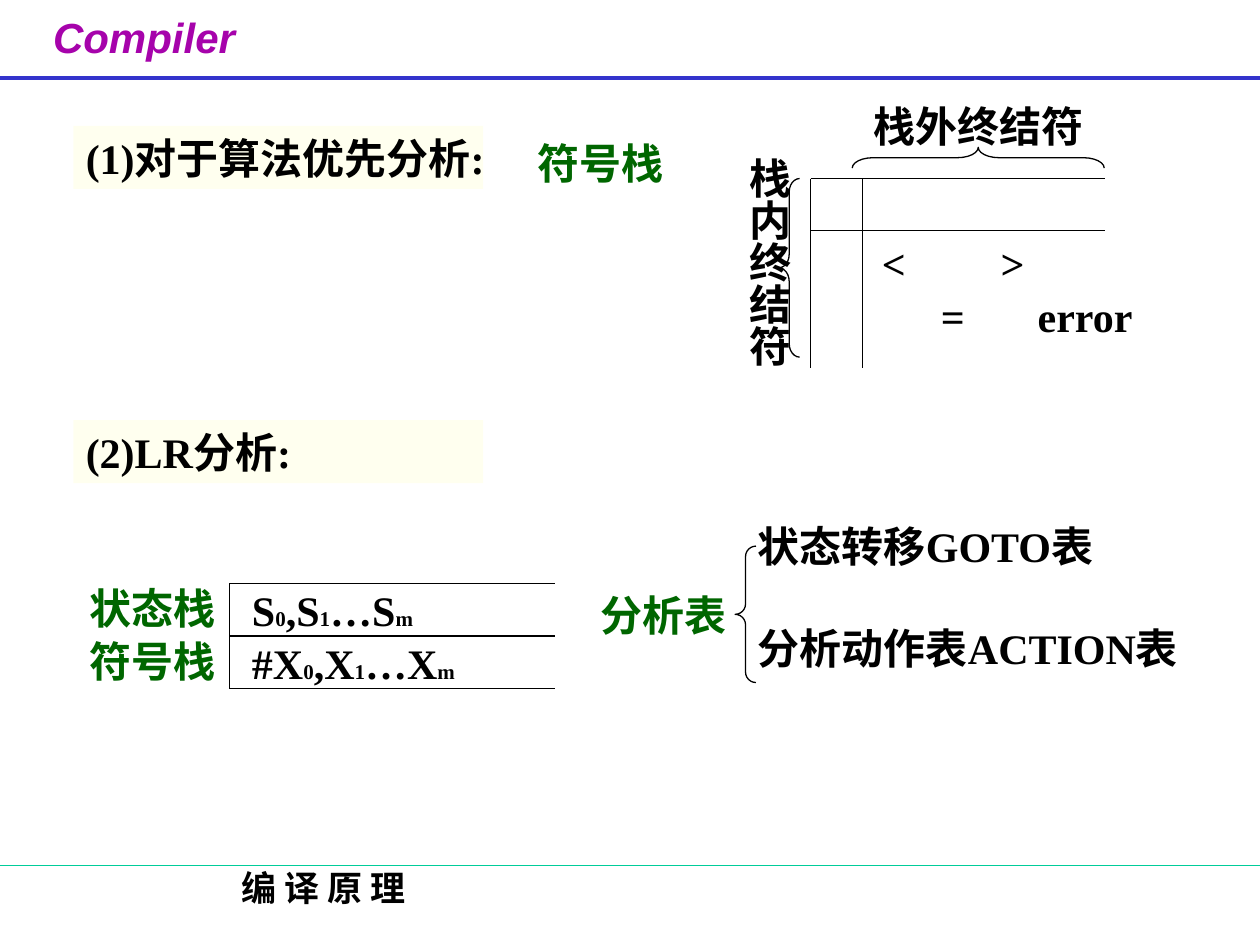
from dataclasses import dataclass
from lxml.etree import SubElement
from pptx import Presentation
from pptx.dml.color import RGBColor
from pptx.enum.shapes import MSO_CONNECTOR as Link, MSO_SHAPE as Preset
from pptx.enum.text import MSO_ANCHOR as Anchor, PP_ALIGN as Align
from pptx.oxml.ns import qn
from pptx.slide import Slide
from pptx.util import Cm, Pt


def color(value):
    return RGBColor.from_string(value)


@dataclass
class Board:
    """Draws styled text, lines and braces on one page."""
    page: Slide
    font: str = "Times New Roman"
    ink: str = "000000"
    green: str = "006600"
    size: int = 24
    small: int = 12

    def fill_text(self, box, text, ink=None, size=None, font=None, italic=None,
                  align=Align.LEFT, anchor=Anchor.MIDDLE, wrap=False, tab=None):
        frame = box.text_frame
        frame.word_wrap, frame.vertical_anchor = wrap, anchor
        para = frame.paragraphs[0]
        para.alignment = align
        if tab:
            stops = SubElement(para._p.get_or_add_pPr(), qn("a:tabLst"))
            SubElement(stops, qn("a:tab"), pos=str(Cm(tab)), algn="l")
        style = para.font
        style.name, style.size = font or self.font, Pt(size or self.size)
        style.bold, style.italic = True, italic
        style.color.rgb = color(ink or self.ink)
        for index, part in enumerate(text.split("|")):
            span = para.add_run()
            span.text = part
            if index % 2:
                span.font.size = Pt(self.small)

    def text(self, text, x, y, width, height, **style):
        box = self.page.shapes.add_textbox(Cm(x), Cm(y), Cm(width), Cm(height))
        self.fill_text(box, text, **style)
        return box

    def vertical_text(self, text, x, y, width, height):
        box = self.text(text, x, y, width, height, align=Align.CENTER,
                        anchor=Anchor.TOP, wrap=True)
        frame = box.text_frame
        frame.margin_left = frame.margin_right = Cm(0.13)
        frame.margin_top = frame.margin_bottom = Cm(0.25)
        frame._txBody.bodyPr.set("vert", "eaVert")

    def heading(self, text, x, y, width, height):
        box = self.page.shapes.add_shape(
            Preset.RECTANGLE, Cm(x), Cm(y), Cm(width), Cm(height))
        box.shadow.inherit = False
        box.line.fill.background()
        box.fill.solid()
        box.fill.fore_color.rgb = color("FFFFE1")
        tint = box._element.spPr.find(".//" + qn("a:srgbClr"))
        SubElement(tint, qn("a:alpha"), val="50000")
        self.fill_text(box, text)

    def line(self, x1, y1, x2, y2, ink=None, width=0.75):
        line = self.page.shapes.add_connector(
            Link.STRAIGHT, Cm(x1), Cm(y1), Cm(x2), Cm(y2))
        line.line.color.rgb = color(ink or self.ink)
        line.line.width = Pt(width)
        SubElement(line._element.spPr, qn("a:effectLst"))

    def brace(self, x, y, height, curve, rotation=0):
        brace = self.page.shapes.add_shape(
            Preset.LEFT_BRACE, Cm(x), Cm(y), Cm(0.42), Cm(height))
        brace.shadow.inherit = False
        brace.fill.background()
        brace.line.color.rgb = color(self.ink)
        brace.line.width = Pt(0.75)
        brace.adjustments[0] = curve
        brace.rotation = rotation


def draw_frame(board):
    board.text("Compiler", 0.82, 0.1, 4.85, 1.57, ink="A603AB", font="Arial",
               italic=True, anchor=Anchor.TOP)
    board.line(0, 1.57, 25.4, 1.57, "3333CC", 2.25)
    board.text("编 译 原 理", 1.27, 17.35, 10.52, 1.27, size=20,
               align=Align.CENTER, anchor=Anchor.TOP, wrap=True)
    board.line(0, 17.45, 25.4, 17.45, "00CC99")


def draw_precedence(board):
    board.heading("(1)对于算法优先分析:", 1.48, 2.54, 8.26, 1.27)
    board.text("符号栈", 10.59, 2.75, 3.18, 1.06, ink=board.green)
    board.brace(15.7, 3.6, 3.6, 0.65)
    board.vertical_text("栈内终结符", 14.62, 2.92, 1.53, 5.08)
    left, top, step = 16.34, 3.6, 1.05
    for offset in (0, step):
        board.line(left, top + offset, 22.28, top + offset)
        board.line(left + offset, top, left + offset, 7.41)
    board.text("<\t>", 17.53, 4.66, 4.02, 1.27, wrap=True, tab=2.39)
    board.text("=\terror", 18.72, 5.72, 4.5, 1.27, wrap=True, tab=1.95)
    board.brace(19.51, 0.64, 5.08, 1, rotation=90)
    board.text("栈外终结符", 16.97, 1.9, 5.5, 1.27, align=Align.CENTER,
               anchor=Anchor.TOP, wrap=True)


def draw_lr(board):
    board.heading("(2)LR分析:", 1.48, 8.47, 8.26, 1.27)
    left, top, step = 4.62, 11.76, 1.06
    stacks = [("状态栈", "S|0|,S|1|…S|m"), ("符号栈", "#X|0|,X|1|…X|m")]
    for row, (label, content) in enumerate(stacks):
        y = top + row * step
        board.text(label, 1.55, y - 0.03, 3.18, step, ink=board.green)
        board.text(content, 4.83, y, 6.3, step)
    for row in range(len(stacks) + 1):
        board.line(left, top + row * step, 11.18, top + row * step)
    board.line(left, top, left, top + len(stacks) * step)
    board.text("分析表", 11.86, 11.86, 3.18, 1.06, ink=board.green)
    board.brace(14.82, 11.01, 2.75, 0.5)
    for y, label in ((10.37, "状态转移GOTO表"), (12.42, "分析动作表ACTION表")):
        board.text(label, 15.03, y, 9.7, 1.27)


def main():
    deck = Presentation()
    deck.slide_width, deck.slide_height = Cm(25.4), Cm(19.05)
    board = Board(deck.slides.add_slide(deck.slide_layouts[6]))
    draw_frame(board)
    draw_precedence(board)
    draw_lr(board)
    deck.save("out.pptx")


if __name__ == "__main__":
    main()
